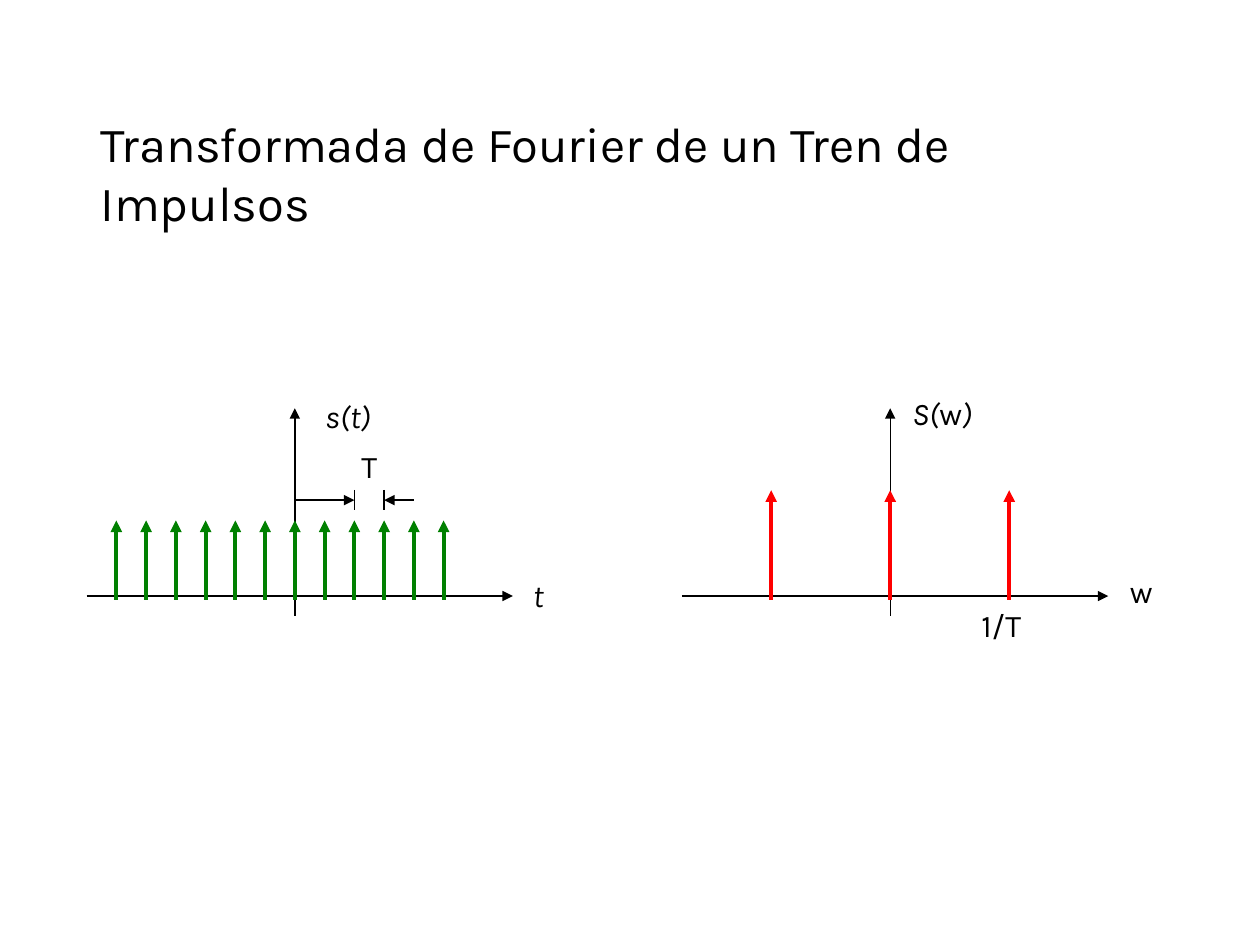
import pptx
import pptx.util
import pptx.dml.color
import pptx.enum.shapes
import pptx.enum.text
from lxml import etree

Pt = pptx.util.Pt
RGB = pptx.dml.color.RGBColor
BLACK = RGB(0, 0, 0)
GREEN = RGB(0, 128, 0)
RED = RGB(255, 0, 0)
FONT = "Karla"

# Content: label runs are (text, italic), placed by left, top, width
TITLE = "Transformada de Fourier de un Tren de Impulsos"
LABELS = [
    (297.4, 325.4, 19.4, [("t", True)]),
    (638.6, 323.3, 27.4, [("w", False)]),
    (178.6, 223.2, 41, [("s(t)", True)]),
    (514.1, 221.8, 51.8, [("S(", True), ("w", False), (")", True)]),
    (199.4, 252, 25.9, [("T", False)]),
    (553.7, 342.7, 41, [("1/T", False)]),
]
LABEL_HEIGHT = 28.8

# Plot geometry
TIME_ORIGIN, FREQ_ORIGIN = 168.5, 508.7
STEP = 17                      # spacing of the time impulses
FREQ_STEP = 4 * STEP
AXIS_Y, BASE_Y = 340.6, 342.7
AXIS_LEFT, AXIS_RIGHT = 119, 124.6
AXIS_BOTTOM, AXIS_TOP = 352, 233.3
TIME_TOP, FREQ_TOP = 297.4, 280.1
PERIOD_Y, TICK_HALF = 285.8, 5.8

prs = pptx.Presentation()
prs.slide_width, prs.slide_height = Pt(720), Pt(540)
s = prs.slides.add_slide(prs.slide_layouts[6])


def add_line(x1, y1, x2, y2, color=BLACK, width=0.75, arrow=True):
    line = s.shapes.add_connector(
        pptx.enum.shapes.MSO_CONNECTOR.STRAIGHT, Pt(x1), Pt(y1), Pt(x2), Pt(y2))
    line.line.color.rgb = color
    line.line.width = Pt(width)
    if arrow:
        etree.SubElement(line.line._get_or_add_ln(),
                         pptx.oxml.ns.qn("a:tailEnd"), type="triangle")
    etree.SubElement(line._element.spPr, pptx.oxml.ns.qn("a:effectLst"))


def add_text(left, top, width, height, runs, size, wrap=False):
    tf = s.shapes.add_textbox(Pt(left), Pt(top), Pt(width), Pt(height)).text_frame
    tf.word_wrap = wrap
    tf.auto_size = pptx.enum.text.MSO_AUTO_SIZE.SHAPE_TO_FIT_TEXT
    p = tf.paragraphs[0]
    for text, italic in runs:
        r = p.add_run()
        r.text = text
        r.font.name = FONT
        r.font.size = Pt(size)
        r.font.italic = italic
        r.font.color.rgb = BLACK


# Title
add_text(50.4, 61.2, 624.2, 41, [(TITLE, False)], 28, wrap=True)

# Axes
for origin in (TIME_ORIGIN, FREQ_ORIGIN):
    add_line(origin - AXIS_LEFT, AXIS_Y, origin + AXIS_RIGHT, AXIS_Y)
    add_line(origin, AXIS_BOTTOM, origin, AXIS_TOP)

# Impulse trains
for origin, step, indices, top, color in (
        (TIME_ORIGIN, STEP, range(-6, 6), TIME_TOP, GREEN),
        (FREQ_ORIGIN, FREQ_STEP, range(-1, 2), FREQ_TOP, RED)):
    for k in indices:
        x = origin + k * step
        add_line(x, BASE_Y, x, top, color, 2.25)

# Period marker between two neighbouring impulses
start, end = TIME_ORIGIN + 2 * STEP, TIME_ORIGIN + 3 * STEP
add_line(TIME_ORIGIN, PERIOD_Y, start, PERIOD_Y)
add_line(end + STEP, PERIOD_Y, end, PERIOD_Y)
for x in (start, end):
    add_line(x, PERIOD_Y - TICK_HALF, x, PERIOD_Y + TICK_HALF, arrow=False)

# Labels
for left, top, width, runs in LABELS:
    add_text(left, top, width, LABEL_HEIGHT, runs, 18)

prs.save("out.pptx")
